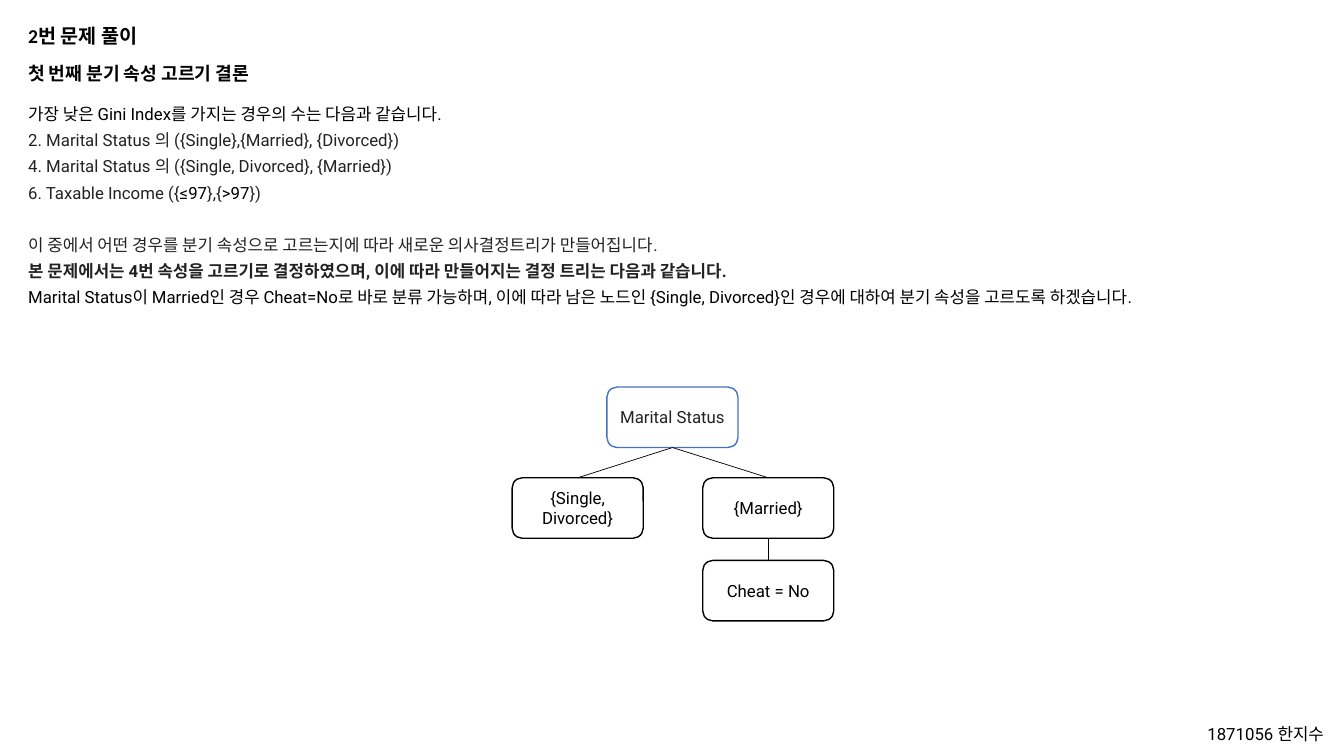
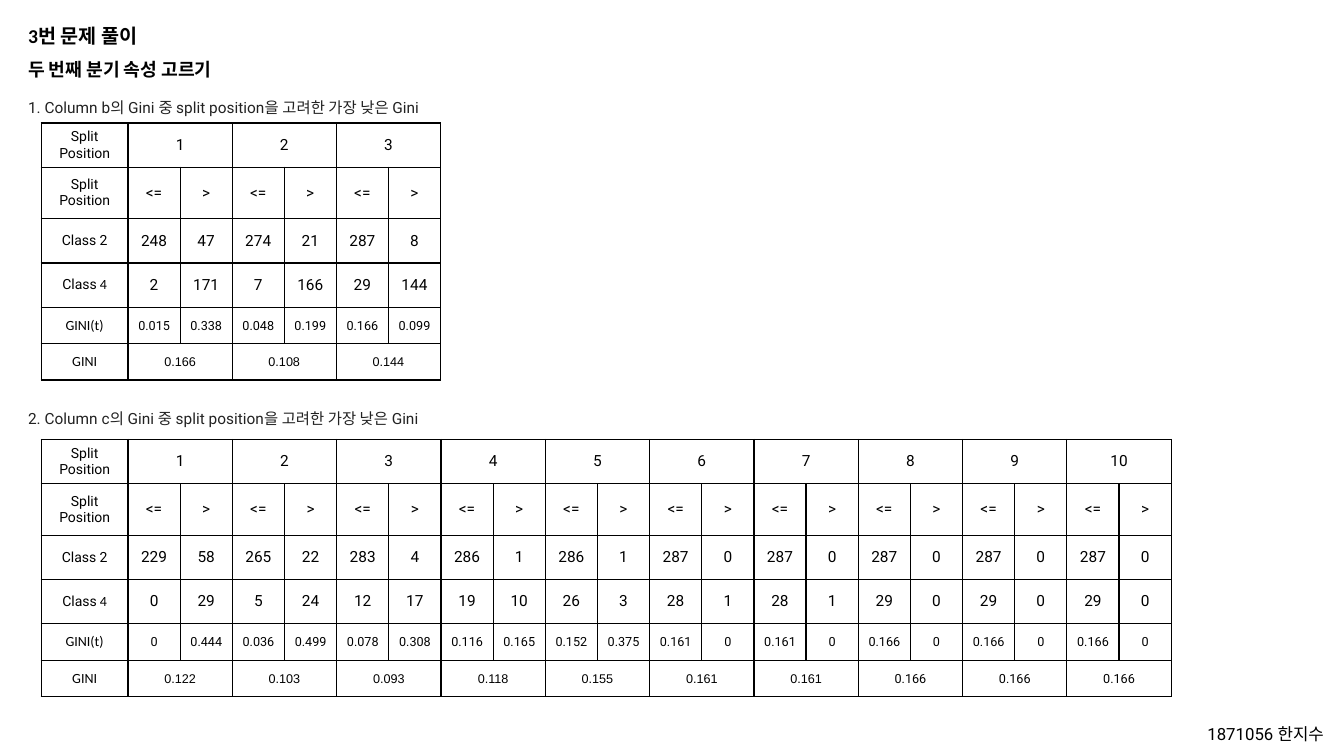
import pptx
import pptx.util
import pptx.dml.color
import pptx.enum.shapes
import pptx.enum.text
import pptx.oxml
import pptx.oxml.ns
from lxml import etree

Inches = pptx.util.Inches
ALIGN = pptx.enum.text.PP_ALIGN
MIDDLE = pptx.enum.text.MSO_ANCHOR.MIDDLE

# Shared style
BLACK, GREY, WHITE, BLUE = "000000", "222222", "FFFFFF", "4472C4"
BODY, HEAD, PLAIN = "Roboto", "Calibri", "Arial"
LEFT, WIDE = 0.18, 12.98
AUTHOR = "1871056 한지수"

# Table grid
LABEL = 0.86
ROWS = [0.44, 0.51, 0.44, 0.44, 0.36, 0.36]
LABELS = [
    [("Split Position", BODY)],
    [("Split Position", BODY)],
    [("Class 2", BODY)],
    [("Class", BODY), (" 4", HEAD)],
    [("GINI(t)", HEAD)],
    [("GINI", HEAD)],
]


def color(code):
    return pptx.dml.color.RGBColor.from_string(code)


def style(font, face, size, code=BLACK, bold=False):
    font.name = face
    font.size = pptx.util.Pt(size)
    font.bold = bold
    font.color.rgb = color(code)


def place(shape, left, top, width, height):
    shape.left, shape.top = Inches(left), Inches(top)
    shape.width, shape.height = Inches(width), Inches(height)


def frame(shape):
    text = shape.text_frame
    text.word_wrap = True
    text.auto_size = pptx.enum.text.MSO_AUTO_SIZE.NONE
    text.vertical_anchor = pptx.enum.text.MSO_ANCHOR.TOP
    return text


def label(slide, text, box, face, size, code=BLACK, bold=False,
          gap=1.0, align=ALIGN.LEFT):
    """One line of text in a box of its own."""
    shape = slide.shapes.add_textbox(*map(Inches, box))
    par = frame(shape).paragraphs[0]
    par.text, par.alignment, par.line_spacing = text, align, gap
    style(par.font, face, size, code, bold)


def page(deck, layout, title, part, top):
    """A slide with title, subtitle and author line."""
    slide = deck.slides.add_slide(deck.slide_layouts[layout])
    head = slide.shapes.title
    place(head, LEFT, 0.07, WIDE, 0.42)
    par = frame(head).paragraphs[0]
    par.text, par.alignment, par.line_spacing = title, ALIGN.LEFT, 1.5
    style(par.font, HEAD, 14, bold=True)
    label(slide, part, (LEFT, top, WIDE, 0.37), HEAD, 13, bold=True, gap=1.3)
    label(slide, AUTHOR, (11.19, 7.13, 2.04, 0.3), BODY, 12, align=ALIGN.RIGHT)
    return slide


def prose(slide, lines):
    """Body lines: (runs of text and colour, bold, space before)."""
    shape = slide.placeholders[1]
    place(shape, LEFT, 0.92, 12.19, 2.44)
    text = frame(shape)
    for i, (runs, bold, space) in enumerate(lines):
        par = text.paragraphs[0] if i == 0 else text.add_paragraph()
        props = par._p.get_or_add_pPr()
        props.set("marL", "0")
        props.set("indent", "0")
        etree.SubElement(props, pptx.oxml.ns.qn("a:buNone"))
        par.line_spacing = 1.3
        par.space_before = pptx.util.Pt(space)
        for part, code in runs:
            run = par.add_run()
            run.text = part
            if len(runs) > 1:
                style(run.font, BODY, 12, code, bold)
        if len(runs) == 1:
            style(par.font, BODY, 12, runs[0][1], bold)


def node(slide, text, left, top, edge=BLACK, code=BLACK):
    kind = pptx.enum.shapes.MSO_SHAPE.ROUNDED_RECTANGLE
    shape = slide.shapes.add_shape(
        kind, Inches(left), Inches(top), Inches(1.3), Inches(0.6))
    shape.shadow.inherit = False
    shape.fill.solid()
    shape.fill.fore_color.rgb = color(WHITE)
    shape.line.color.rgb = color(edge)
    shape.line.width = pptx.util.Pt(1)
    body = frame(shape)
    body.vertical_anchor = MIDDLE
    par = body.paragraphs[0]
    par.text, par.alignment = text, ALIGN.CENTER
    style(par.font, BODY, 12, code)
    return shape


def link(slide, upper, lower, width):
    kind = pptx.enum.shapes.MSO_CONNECTOR.STRAIGHT
    line = slide.shapes.add_connector(kind, 0, 0, 0, 0)
    line.begin_connect(upper, 2)
    line.end_connect(lower, 0)
    line.line.color.rgb = color(BLACK)
    line.line.width = pptx.util.Pt(width)
    etree.SubElement(line._element.spPr, pptx.oxml.ns.qn("a:effectLst"))


def border(cell):
    props = cell._tc.get_or_add_tcPr()
    for side in "LRTB":
        props.append(pptx.oxml.parse_xml(
            f'<a:ln{side} {pptx.oxml.ns.nsdecls("a")} w="12700">'
            f'<a:solidFill><a:srgbClr val="{BLACK}"/></a:solidFill>'
            f'</a:ln{side}>'))
    cell.fill.background()


def write(cell, runs, size):
    par = cell.text_frame.paragraphs[0]
    par.alignment = ALIGN.CENTER
    cell.vertical_anchor = MIDDLE
    for text, face in runs:
        run = par.add_run()
        run.text = text
        if len(runs) > 1:
            style(run.font, face, size)
    if len(runs) == 1:
        style(par.font, runs[0][1], size)


def splits(slide, top, width, two, four, parts, total):
    """Table of split positions, two columns for each."""
    count = len(total)
    cols = 2 * count
    rows = [range(1, count + 1), ["<=", ">"] * count, two, four, parts, total]
    shape = slide.shapes.add_table(
        len(ROWS), cols + 1, Inches(0.41), Inches(top),
        Inches(width), Inches(sum(ROWS)))
    table = shape.table
    table.first_row = table.horz_banding = False
    for i, col in enumerate(table.columns):
        col.width = Inches((width - LABEL) / cols if i else LABEL)
    for row, height in zip(table.rows, ROWS):
        row.height = Inches(height)
    for cell in table.iter_cells():
        border(cell)

    for r, values in enumerate(rows):
        write(table.cell(r, 0), LABELS[r], 10)
        step = cols // len(values)
        for i, value in enumerate(values):
            c = 1 + i * step
            cell = table.cell(r, c)
            if step == 2:
                cell.merge(table.cell(r, c + 1))
            if r >= 4:
                cell.margin_left = cell.margin_right = Inches(0.01)
                cell.margin_top, cell.margin_bottom = Inches(0.01), 0
            # Totals are in the plain face up to the seventh split
            face = PLAIN if r == 5 and i < 7 else BODY
            write(cell, [(str(value), face)], 9 if r >= 4 else 11)


def tree(deck):
    slide = page(deck, 1, "2번 문제 풀이", "첫 번째 분기 속성 고르기 결론", 0.5)
    prose(slide, [
        ([("가장 낮은 Gini Index를 가지는 경우의 수는 다음과 같습니다.", BLACK)], False, 0),
        ([("2. Marital Status 의 ({Single},{Married}, {Divorced})", GREY)], False, 0),
        ([("4. Marital Status 의 ({Single, Divorced}, {Married})", GREY)], False, 0),
        ([("6. Taxable Income ({", GREY), ("≤97", BLACK), ("},{", GREY),
          (">97", BLACK), ("})", GREY)], False, 0),
        ([("이 중에서 어떤 경우를 분기 속성으로 고르는지에 따라 새로운 "
           "의사결정트리가 만들어집니다.", GREY)], False, 18.7),
        ([("본 문제에서는 4번 속성을 고르기로 결정하였으며, 이에 따라 "
           "만들어지는 결정 트리는 다음과 같습니다.", GREY)], True, 0),
        ([("Marital Status이 Married인 경우 Cheat=No로 바로 분류 가능하며, "
           "이에 따라 남은 노드인 {Single, Divorced}인 경우에 대하여 "
           "분기 속성을 고르도록 하겠습니다.", BLACK)], False, 0),
    ])

    # Decision tree
    root = node(slide, "Marital Status", 6.02, 3.84, BLUE, GREY)
    rest = node(slide, "{Single, Divorced}", 5.08, 4.74)
    wed = node(slide, "{Married}", 6.97, 4.74)
    leaf = node(slide, "Cheat = No", 6.97, 5.56)
    link(slide, root, rest, 0.5)
    link(slide, root, wed, 0.5)
    link(slide, wed, leaf, 1)


def gini(deck):
    slide = page(deck, 5, "3번 문제 풀이", "두 번째 분기 속성 고르기", 0.46)
    for top, name in ((0.83, "1. Column b"), (3.92, "2. Column c")):
        label(slide, f"{name}의 Gini 중 split position을 고려한 가장 낮은 Gini",
              (LEFT, top, 4.92, 0.36), BODY, 11, GREY, gap=1.5)

    # Column b
    splits(slide, 1.22, 3.96,
           [248, 47, 274, 21, 287, 8],
           [2, 171, 7, 166, 29, 144],
           [0.015, 0.338, 0.048, 0.199, 0.166, 0.099],
           [0.166, 0.108, 0.144])
    # Column c
    splits(slide, 4.36, 11.21,
           [229, 58, 265, 22, 283, 4, 286, 1, 286, 1,
            287, 0, 287, 0, 287, 0, 287, 0, 287, 0],
           [0, 29, 5, 24, 12, 17, 19, 10, 26, 3,
            28, 1, 28, 1, 29, 0, 29, 0, 29, 0],
           [0, 0.444, 0.036, 0.499, 0.078, 0.308, 0.116, 0.165, 0.152, 0.375,
            0.161, 0, 0.161, 0, 0.166, 0, 0.166, 0, 0.166, 0],
           [0.122, 0.103, 0.093, 0.118, 0.155,
            0.161, 0.161, 0.166, 0.166, 0.166])


def main():
    deck = pptx.Presentation()
    deck.slide_width, deck.slide_height = Inches(13.33), Inches(7.5)
    tree(deck)
    gini(deck)
    deck.save("out.pptx")


if __name__ == "__main__":
    main()
